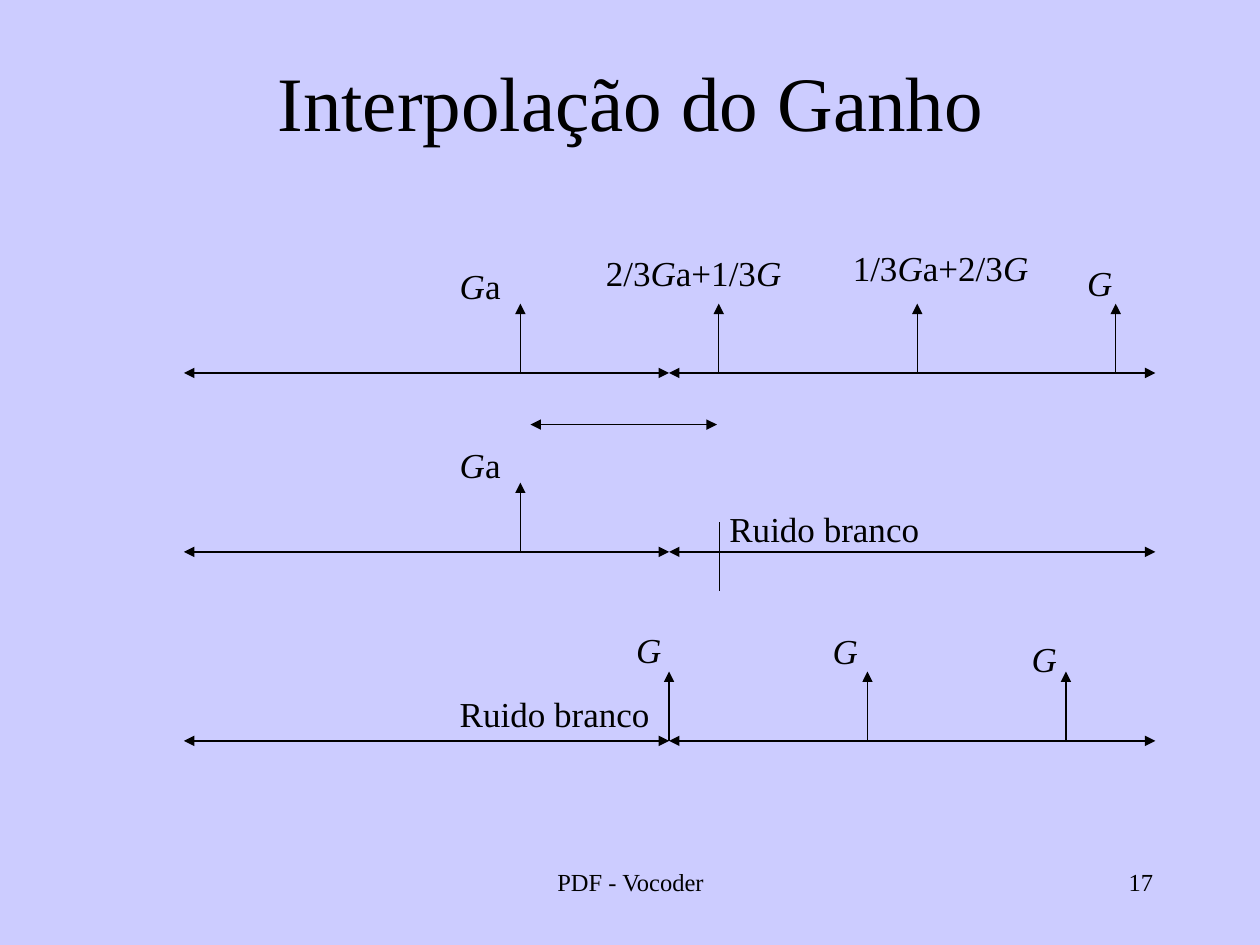
from itertools import groupby

from lxml.etree import SubElement
from pptx import Presentation
from pptx.dml.color import RGBColor
from pptx.enum.shapes import MSO_CONNECTOR
from pptx.enum.text import MSO_ANCHOR as ANCHOR, MSO_AUTO_SIZE as AUTO, PP_ALIGN as ALIGN
from pptx.oxml.ns import qn
from pptx.util import Inches, Pt


def rgb(value):
    return RGBColor.from_string(value)


def write(tf, text, size=20, font="Times New Roman", color="000000",
          align=ALIGN.LEFT, italic=""):
    p = tf.paragraphs[0]
    p.alignment = align
    for slanted, chars in groupby(text, lambda ch: ch in italic):
        r = p.add_run()
        r.text = "".join(chars)
        r.font.name = font
        r.font.size = Pt(size)
        r.font.italic = slanted
        r.font.color.rgb = rgb(color)


class Deck:
    """Holds the drawing style and the current slide."""

    ink = "000000"
    paper = "CCCCFF"
    weight = 0.75

    def __init__(self, prs):
        self.s = prs.slides.add_slide(prs.slide_layouts[6])
        fill = self.s.background.fill
        fill.solid()
        fill.fore_color.rgb = rgb(self.paper)

    def text(self, text, x, y, w, h, anchor=ANCHOR.TOP, wrap=True, grow=False, **fmt):
        tf = self.s.shapes.add_textbox(*map(Inches, (x, y, w, h))).text_frame
        tf.word_wrap = wrap
        tf.vertical_anchor = anchor
        tf.auto_size = AUTO.SHAPE_TO_FIT_TEXT if grow else AUTO.NONE
        write(tf, text, color=self.ink, **fmt)

    def gain(self, text, x, y, w=0.54):
        self.text(text, x, y, w, 0.44, grow=True, italic="G")

    def noise(self, x, y):
        self.text("Ruido branco", x, y, 1.72, 0.44, wrap=False, grow=True)

    def line(self, x1, y1, x2, y2, ends=()):
        c = self.s.shapes.add_connector(
            MSO_CONNECTOR.STRAIGHT, *map(Inches, (x1, y1, x2, y2)))
        c.line.color.rgb = rgb(self.ink)
        c.line.width = Pt(self.weight)
        ln = c.line._get_or_add_ln()
        for end in ends:
            SubElement(ln, qn(f"a:{end}"), type="triangle")
        SubElement(c._element.spPr, qn("a:effectLst"))

    def span(self, x1, x2, y):
        self.line(x1, y, x2, y, ("headEnd", "tailEnd"))

    def pulse(self, x, y):
        self.line(x, y, x, y - 0.55, ("tailEnd",))

    def timeline(self, y, pulses):
        self.span(LEFT, MIDDLE, y)
        self.span(MIDDLE, RIGHT, y)
        for x in pulses:
            self.pulse(x, y)


LEFT, MIDDLE, RIGHT = 1.46, 5.31, 9.17
FIRST_PULSE, PERIOD = 4.13, 1.575
ROWS = (2.96, 4.38, 5.88)


def main():
    prs = Presentation()
    prs.slide_width, prs.slide_height = Inches(10), Inches(7.5)
    deck = Deck(prs)

    deck.text("PDF - Vocoder", 3.42, 6.83, 3.17, 0.5, size=14, align=ALIGN.CENTER)
    deck.text("17", 7.17, 6.83, 2.08, 0.5, size=14, align=ALIGN.RIGHT)
    deck.text("Interpolação do Ganho", 0.67, 0.17, 8.67, 1.25,
              anchor=ANCHOR.MIDDLE, size=44, align=ALIGN.CENTER)

    voiced, to_noise, from_noise = ROWS
    deck.timeline(voiced, [FIRST_PULSE + i * PERIOD for i in range(4)])
    deck.gain("Ga", 3.55, 2.05)
    deck.gain("2/3Ga+1/3G", 4.71, 1.95, 1.6)
    deck.gain("1/3Ga+2/3G", 6.67, 1.91, 1.6)
    deck.gain("G", 8.53, 2.03)
    deck.span(5.69, 4.21, 3.37)

    deck.timeline(to_noise, [FIRST_PULSE])
    deck.gain("Ga", 3.55, 3.47)
    deck.line(5.71, 4.69, 5.71, 4.14)
    deck.noise(5.69, 3.98)

    deck.timeline(from_noise, [MIDDLE + i * PERIOD for i in range(3)])
    deck.gain("G", 4.95, 4.94, 0.37)
    deck.gain("G", 6.51, 4.95)
    deck.gain("G", 8.09, 5.01)
    deck.noise(3.55, 5.45)

    prs.save("out.pptx")


if __name__ == "__main__":
    main()
